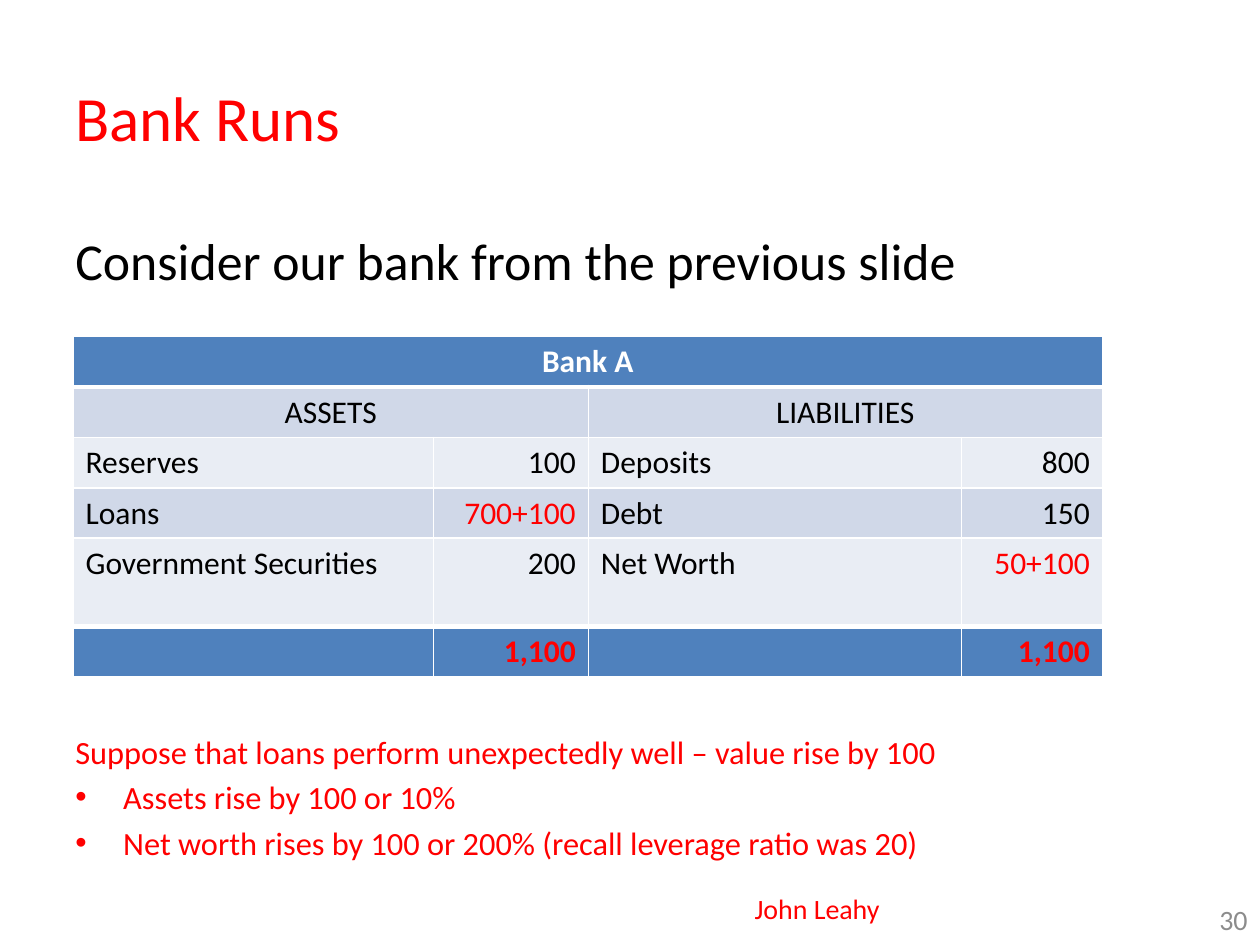
from lxml import etree
from pptx import Presentation
from pptx.dml.color import RGBColor
from pptx.enum.text import MSO_ANCHOR, PP_ALIGN
from pptx.oxml.ns import qn
from pptx.util import Inches, Pt

LEFT, MID, RIGHT = PP_ALIGN.LEFT, PP_ALIGN.CENTER, PP_ALIGN.RIGHT
TOP, CENTER = MSO_ANCHOR.TOP, MSO_ANCHOR.MIDDLE
RED = RGBColor(0xFF, 0, 0)
BLACK = RGBColor(0, 0, 0)
WHITE = RGBColor(0xFF, 0xFF, 0xFF)
GRAY = RGBColor(0x8C, 0x8C, 0x8C)
BLUE = RGBColor(0x4F, 0x81, 0xBD)
DARK = RGBColor(0xD0, 0xD8, 0xE8)
LIGHT = RGBColor(0xE9, 0xED, 0xF4)


def write(para, text, size=18, color=BLACK, bold=False, align=LEFT,
          before=0, bullet=False):
    para.alignment = align
    para.space_before = Pt(before)
    run = para.add_run()
    run.text = text
    font = run.font
    font.name, font.size, font.bold = "Calibri", Pt(size), bold
    font.color.rgb = color
    if bullet:
        props = para._p.get_or_add_pPr()
        props.set("marL", str(Inches(0.38)))
        props.set("indent", str(-Inches(0.38)))
        etree.SubElement(props, qn("a:buFont")).set("typeface", "Arial")
        etree.SubElement(props, qn("a:buChar")).set("char", "•")


def edge(cell, side, width):
    props = cell._tc.get_or_add_tcPr()
    line = etree.SubElement(props, qn("a:ln" + side), w=str(Pt(width)))
    fill = etree.SubElement(line, qn("a:solidFill"))
    etree.SubElement(fill, qn("a:srgbClr")).set("val", str(WHITE))


class Deck:
    def __init__(self):
        self.file = Presentation()
        self.file.slide_width = Inches(10)
        self.file.slide_height = Inches(7.5)
        self.slide = self.file.slides.add_slide(self.file.slide_layouts[6])

    def text(self, box, lines, anchor=TOP, **style):
        shape = self.slide.shapes.add_textbox(*map(Inches, box))
        frame = shape.text_frame
        frame.word_wrap = True
        frame.vertical_anchor = anchor
        for i, (line, extra) in enumerate(lines):
            para = frame.add_paragraph() if i else frame.paragraphs[0]
            write(para, line, **{**style, **extra})

    def table(self, left, top, widths, heights, rows, fills, spans):
        box = map(Inches, (left, top, sum(widths), sum(heights)))
        table = self.slide.shapes.add_table(len(rows), len(widths), *box).table
        for col, width in zip(table.columns, widths):
            col.width = Inches(width)
        for row, height in zip(table.rows, heights):
            row.height = Inches(height)
        last = len(rows) - 1
        for r, row in enumerate(rows):
            for c, (text, style) in enumerate(row):
                cell = table.cell(r, c)
                edge(cell, "L", 1)
                edge(cell, "R", 1)
                edge(cell, "T", 3 if r in (1, last) else 1)
                edge(cell, "B", 3 if r in (0, last - 1) else 1)
                cell.fill.solid()
                cell.fill.fore_color.rgb = fills[r]
                if text:
                    write(cell.text_frame.paragraphs[0], text, **style)
        for r, start, end in spans:
            table.cell(r, start).merge(table.cell(r, end))


deck = Deck()
deck.text((0.5, 0.3, 9, 1.25), [("Bank Runs", {})], CENTER,
          size=36, color=RED)
deck.text((0.5, 1.77, 9, 0.6),
          [("Consider our bank from the previous slide", {})], size=29.6)

HEAD = {"align": MID}
NUM = {"align": RIGHT}
NEW = {"align": RIGHT, "color": RED}
SUM = {"align": RIGHT, "color": RED, "bold": True}
GAP = ("", {})
rows = [
    [("Bank A", {"align": MID, "color": WHITE, "bold": True}), GAP, GAP, GAP],
    [("ASSETS", HEAD), GAP, ("LIABILITIES", HEAD), GAP],
    [("Reserves", {}), ("100", NUM), ("Deposits", {}), ("800", NUM)],
    [("Loans", {}), ("700+100", NEW), ("Debt", {}), ("150", NUM)],
    [("Government Securities", {}), ("200", NUM),
     ("Net Worth", {}), ("50+100", NEW)],
    [GAP, ("1,100", SUM), GAP, ("1,100", SUM)],
]
deck.table(0.58, 2.67, (2.86, 1.23, 2.96, 1.12),
           (0.4, 0.4, 0.4, 0.4, 0.7, 0.4), rows,
           (BLUE, DARK, LIGHT, DARK, LIGHT, BLUE),
           ((0, 0, 3), (1, 0, 1), (1, 2, 3)))

ITEM = {"bullet": True, "before": 3.7}
deck.text((0.5, 5.76, 9, 1.15), [
    ("Suppose that loans perform unexpectedly well – value rise by 100", {}),
    ("Assets rise by 100 or 10%", ITEM),
    ("Net worth rises by 100 or 200% (recall leverage ratio was 20)", ITEM),
], size=18.5, color=RED)
deck.text((5.58, 6.92, 1.5, 0.58), [("John Leahy", {})], CENTER,
          size=16, color=RED, align=RIGHT)
deck.text((9.5, 7.1, 0.5, 0.4), [("30", {})], CENTER,
          size=16, color=GRAY, align=RIGHT)
deck.file.save("out.pptx")
